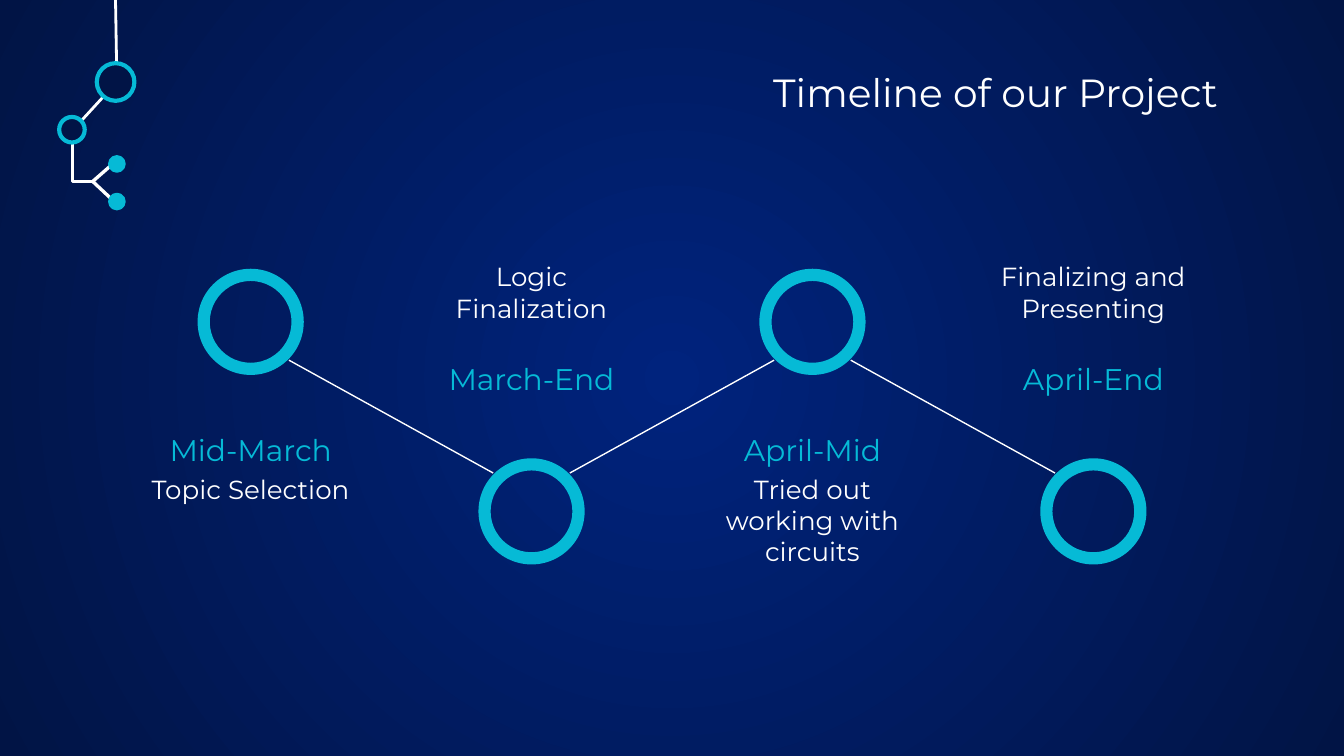
import pptx
import pptx.dml.color
import pptx.enum.shapes
import pptx.enum.text
import pptx.util
from lxml import etree
from pptx.util import Inches

SHAPE = pptx.enum.shapes.MSO_SHAPE
ALIGN = pptx.enum.text.PP_ALIGN
WHITE, CYAN, NAVY = "FFFFFF", "06BAD6", "011446"
BODY = {"size": 14, "color": WHITE, "space_after": 16}
DATE = {"size": 16, "color": CYAN}
HEADING = {"size": 21, "color": WHITE, "align": ALIGN.RIGHT}
MILESTONES = [
    ("Mid-March", "Topic Selection"),
    ("March-End", "Logic Finalization"),
    ("April-Mid", "Tried out working with circuits"),
    ("April-End", "Finalizing and Presenting"),
]
PITCH = 2.09
RING_SIZE = 0.79


def rgb(value):
    return pptx.dml.color.RGBColor.from_string(value)


def remove_effects(connector):
    etree.SubElement(connector.element.spPr, pptx.oxml.ns.qn("a:effectLst"))


def paint_background(slide):
    """Radial gradient, bright in the centre."""
    fill = slide.background.fill
    fill.gradient()
    for stop, color in zip(fill.gradient_stops, ("00237D", "011445")):
        stop.color.rgb = rgb(color)
    qn = pptx.oxml.ns.qn
    gradient = slide.element.find(".//" + qn("a:gradFill"))
    gradient.remove(gradient.find(qn("a:lin")))
    circle = etree.SubElement(gradient, qn("a:path"), {"path": "circle"})
    center = dict.fromkeys("ltrb", "50000")
    etree.SubElement(circle, qn("a:fillToRect"), center)


def add_text(slide, box, text, style):
    frame = slide.shapes.add_textbox(*map(Inches, box)).text_frame
    margins = {f"margin_{side}": Inches(0.1)
               for side in ("left", "top", "right", "bottom")}
    for name, value in {"word_wrap": True, **margins}.items():
        setattr(frame, name, value)
    paragraph = frame.paragraphs[0]
    paragraph.alignment = style.get("align", ALIGN.CENTER)
    paragraph.space_after = pptx.util.Pt(style.get("space_after", 0))
    run = paragraph.add_run()
    run.text = text
    for name, value in {"name": "Montserrat",
                        "size": pptx.util.Pt(style["size"])}.items():
        setattr(run.font, name, value)
    run.font.color.rgb = rgb(style["color"])


def add_line(slide, start, end, width):
    line = slide.shapes.add_connector(
        pptx.enum.shapes.MSO_CONNECTOR.STRAIGHT, *map(Inches, (*start, *end)))
    line.line.color.rgb = rgb(WHITE)
    line.line.width = pptx.util.Pt(width)
    remove_effects(line)


def add_round(slide, kind, left, top, size, fill, outline=None):
    shape = slide.shapes.add_shape(
        kind, *map(Inches, (left, top, size, size)))
    shape.shadow.inherit = False
    shape.fill.solid()
    shape.fill.fore_color.rgb = rgb(fill)
    if outline:
        shape.line.color.rgb = rgb(outline)
        shape.line.width = pptx.util.Pt(2.25)
    else:
        shape.line.fill.background()
    return shape


def add_milestone(slide, left, top, date, task, ring_on_top):
    """Ring with its date and task on the opposite side."""
    ring_top, date_top, task_top = (
        (0.16, 1.27, 1.58) if ring_on_top else (1.57, 0.74, 0))
    add_text(slide, (left, top + date_top, 1.75, 0.42), date, DATE)
    add_text(slide, (left, top + task_top, 1.75, 0.9), task, BODY)
    ring = add_round(slide, SHAPE.DONUT, left + 0.48, top + ring_top,
                     RING_SIZE, CYAN)
    ring.adjustments[0] = 0.115
    return left + 0.48, top + ring_top


def add_timeline(slide, left, top):
    rings = [add_milestone(slide, left + i * PITCH, top, date, task, i % 2 == 0)
             for i, (date, task) in enumerate(MILESTONES)]
    near, far = 0.11, 0.68
    for (x1, y1), (x2, y2) in zip(rings, rings[1:]):
        leave, arrive = (far, near) if y2 > y1 else (near, far)
        add_line(slide, (x1 + far, y1 + leave), (x2 + near, y2 + arrive), 0.75)


def add_circuit(slide, left, top):
    """Circuit trace hanging from the slide edge."""
    trace = [(0.42, 0), (0.43, 0.61), (0.1, 0.97), (0.1, 1.35), (0.27, 1.35)]
    points = [(Inches(left + x), Inches(top + y)) for x, y in trace]
    builder = slide.shapes.build_freeform(*points[0])
    builder.add_line_segments(points[1:], close=False)
    wire = builder.convert_to_shape()
    wire.shadow.inherit = False
    wire.fill.background()
    wire.line.color.rgb = rgb(WHITE)
    wire.line.width = pptx.util.Pt(1.5)
    for tip_y in (1.21, 1.5):
        add_line(slide, (left + 0.25, top + 1.35),
                 (left + 0.41, top + tip_y), 1.78)
    for x, y, size, fill in [(0.28, 0.47, 0.28, NAVY), (0, 0.87, 0.19, NAVY),
                             (0.38, 1.17, 0.1, CYAN), (0.38, 1.45, 0.1, CYAN)]:
        add_round(slide, SHAPE.OVAL, left + x, top + y, size, fill, CYAN)


def main():
    deck = pptx.Presentation()
    deck.slide_width = Inches(10)
    deck.slide_height = deck.slide_width * 9 // 16
    slide = deck.slides.add_slide(deck.slide_layouts[6])
    paint_background(slide)
    add_text(slide, (2.63, 0.41, 6.53, 0.56), "Timeline of our Project", HEADING)
    add_timeline(slide, 0.99, 1.84)
    add_circuit(slide, 0.44, 0)
    deck.save("out.pptx")


if __name__ == "__main__":
    main()
